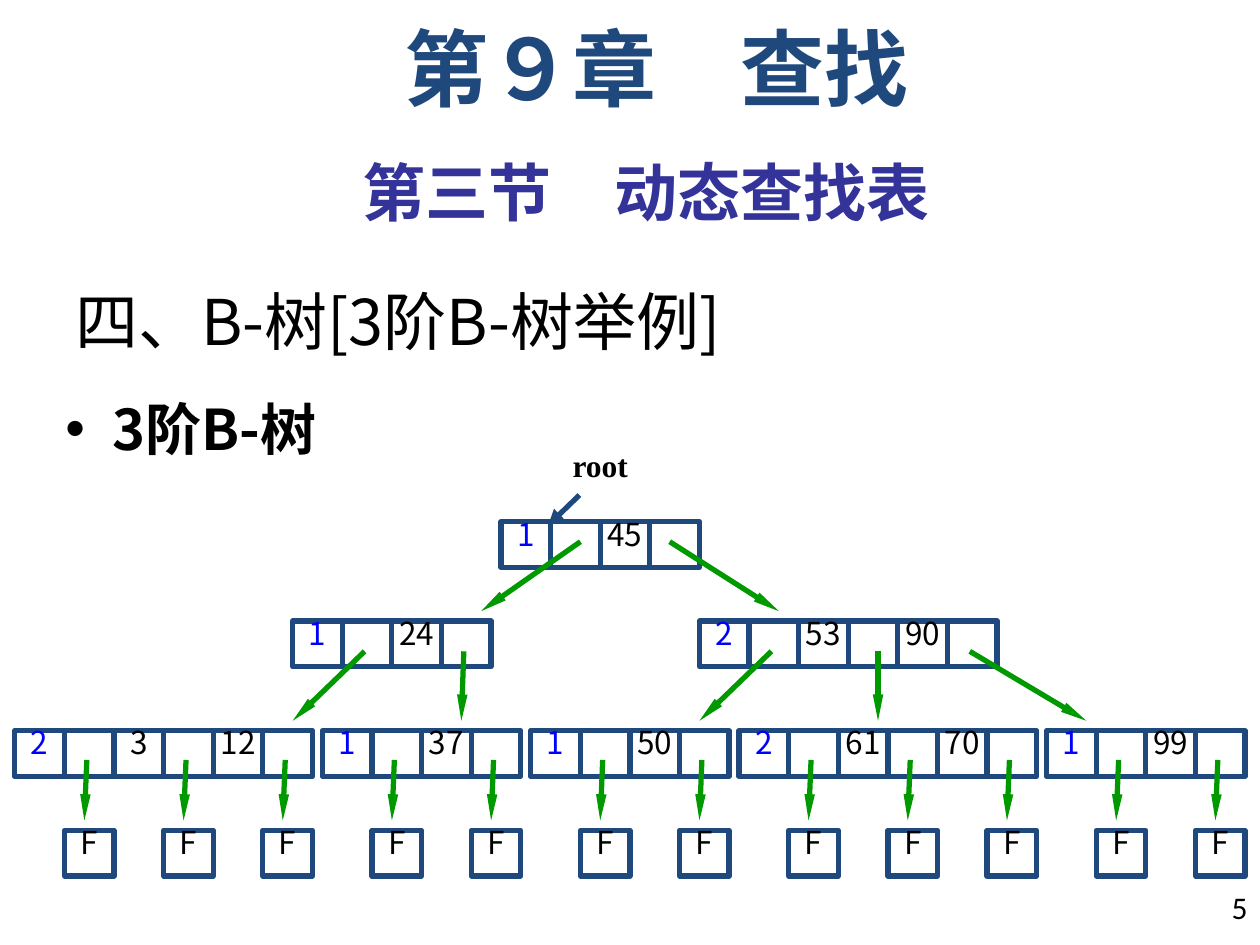
from pptx import Presentation
from pptx import util as u
from pptx.dml.color import RGBColor
from pptx.enum import shapes, text as t
from pptx.oxml.ns import qn
from lxml import etree

COLORS = {"black": "000000", "navy": "1F497D", "indigo": "333399",
          "blue": "0000FF", "green": "009900"}
SANS, SERIF, BODY = "Noto Sans CJK SC", "Times New Roman", "Calibri"
CENTER, RIGHT = t.PP_ALIGN.CENTER, t.PP_ALIGN.RIGHT
TOP, MIDDLE = t.MSO_ANCHOR.TOP, t.MSO_ANCHOR.MIDDLE


def color(name):
    return RGBColor.from_string(COLORS[name])


def write(frame, text, size=18, font=SANS, ink="black", bold=False, align=None,
          spacing=None, anchor=TOP, wrap=True, margin=None, hanging=0, bullet=None):
    """Put one formatted paragraph into a text frame."""
    frame.word_wrap = wrap
    frame.vertical_anchor = anchor
    if margin is not None:
        frame.margin_left = frame.margin_right = u.Cm(margin)
        frame.margin_top = frame.margin_bottom = u.Cm(margin)
    paragraph = frame.paragraphs[0]
    paragraph.alignment = align
    if spacing:
        paragraph.line_spacing = spacing
    properties = paragraph._p.get_or_add_pPr()
    if hanging:
        properties.set("marL", str(u.Cm(hanging)))
        properties.set("indent", str(-u.Cm(hanging)))
    if bullet:
        etree.SubElement(properties, qn("a:buFont"), typeface="Arial")
        etree.SubElement(properties, qn("a:buChar"), char=bullet)
    run = paragraph.add_run()
    run.text = text
    run.font.size, run.font.name, run.font.bold = u.Pt(size), font, bold
    run.font.color.rgb = color(ink)
    etree.SubElement(run._r.get_or_add_rPr(), qn("a:ea"), typeface=SANS)


class TreeSlide:
    """Style and current slide; the grid has square columns and rows of 1 cm."""
    line_width = u.Pt(3)
    cell_height = 0.92

    def __init__(self, presentation):
        self.slide = presentation.slides.add_slide(presentation.slide_layouts[6])

    def label(self, column, row, columns, rows, text, **style):
        box = self.slide.shapes.add_textbox(*map(u.Cm, (column, row, columns, rows)))
        write(box.text_frame, text, **style)

    def cell(self, column, row, text="", ink="black"):
        shape = self.slide.shapes.add_shape(
            shapes.MSO_SHAPE.RECTANGLE, *map(u.Cm, (column, row, 1, self.cell_height)))
        shape.shadow.inherit = False
        shape.fill.background()
        shape.line.color.rgb = color("navy")
        shape.line.width = self.line_width
        if text:
            write(shape.text_frame, text, ink=ink, align=CENTER, spacing=0.8, margin=0)

    def node(self, column, row, keys):
        """Key count, then pointer cells alternating with keys."""
        self.cell(column, row, str(len(keys)), "blue")
        self.cell(column + 1, row)
        for index, key in enumerate(keys):
            self.cell(column + 2 + 2 * index, row, str(key))
            self.cell(column + 3 + 2 * index, row)

    def arrow(self, start, end, ink="green", width="sm", length="lg"):
        line = self.slide.shapes.add_connector(
            shapes.MSO_CONNECTOR.STRAIGHT, *map(u.Cm, (*start, *end)))
        line.line.color.rgb = color(ink)
        line.line.width = self.line_width
        etree.SubElement(line.line._get_or_add_ln(), qn("a:tailEnd"),
                         type="triangle", w=width, len=length)
        etree.SubElement(line._element.spPr, qn("a:effectLst"))


def main():
    presentation = Presentation()
    presentation.slide_width, presentation.slide_height = u.Inches(10), u.Inches(7.5)
    tree = TreeSlide(presentation)

    # Headings, bullet and page number
    tree.label(1.27, 5.51, 17.35, 1.9, "四、B-树[3阶B-树举例]", size=36, anchor=MIDDLE)
    tree.label(23.7, 17.78, 1.7, 1.27, "5", font=BODY, align=RIGHT)
    tree.label(1.27, 2.97, 23.5, 1.78, "第三节\u3000动态查找表", size=36, font=BODY,
               ink="indigo", bold=True, align=CENTER)
    tree.label(1.07, 7.82, 24.33, 11.23, "3阶B-树", size=32, bold=True,
               hanging=0.95, bullet="•")
    tree.label(1.7, 0.43, 23.06, 2.11, "第９章\u3000查找", size=48, font=SERIF,
               ink="navy", bold=True, align=CENTER, spacing=0.9, hanging=0.95)

    # Root pointer
    tree.arrow((11.68, 9.98), (11.05, 10.59), "navy", "med", "med")
    tree.label(11.1, 8.74, 2, 1.27, "root", font=SERIF, bold=True,
               align=CENTER, anchor=MIDDLE, wrap=False)

    # Nodes: row -> {first column: keys}
    leaf_row, failure_row = 14.73, 16.74
    levels = {
        10.52: {10.1: [45]},
        12.52: {5.9: [24], 14.1: [53, 90]},
        leaf_row: {0.3: [3, 12], 6.5: [37], 10.7: [50], 14.9: [61, 70], 21.1: [99]},
    }
    for row, nodes in levels.items():
        for column, keys in nodes.items():
            tree.node(column, row, keys)

    # Child links: (start row, end row) -> (start column, end column)
    links = {
        (10.92, 12.32): [(11.7, 9.7), (13.5, 15.7)],
        (13.13, 14.53): [(7.35, 5.9), (9.35, 9.3), (15.55, 14.1),
                         (17.7, 17.7), (19.55, 21.9)],
    }
    for (start_row, end_row), columns in links.items():
        for start, end in columns:
            tree.arrow((start, start_row), (end, end_row))

    # Failure nodes under every leaf pointer
    for first, keys in levels[leaf_row].items():
        for pointer in range(len(keys) + 1):
            column = first + 1 + 2 * pointer
            tree.cell(column, failure_row, "F")
            tree.arrow((column + 0.45, leaf_row + 0.59), (column + 0.4, failure_row - 0.2))

    presentation.save("out.pptx")


if __name__ == "__main__":
    main()
